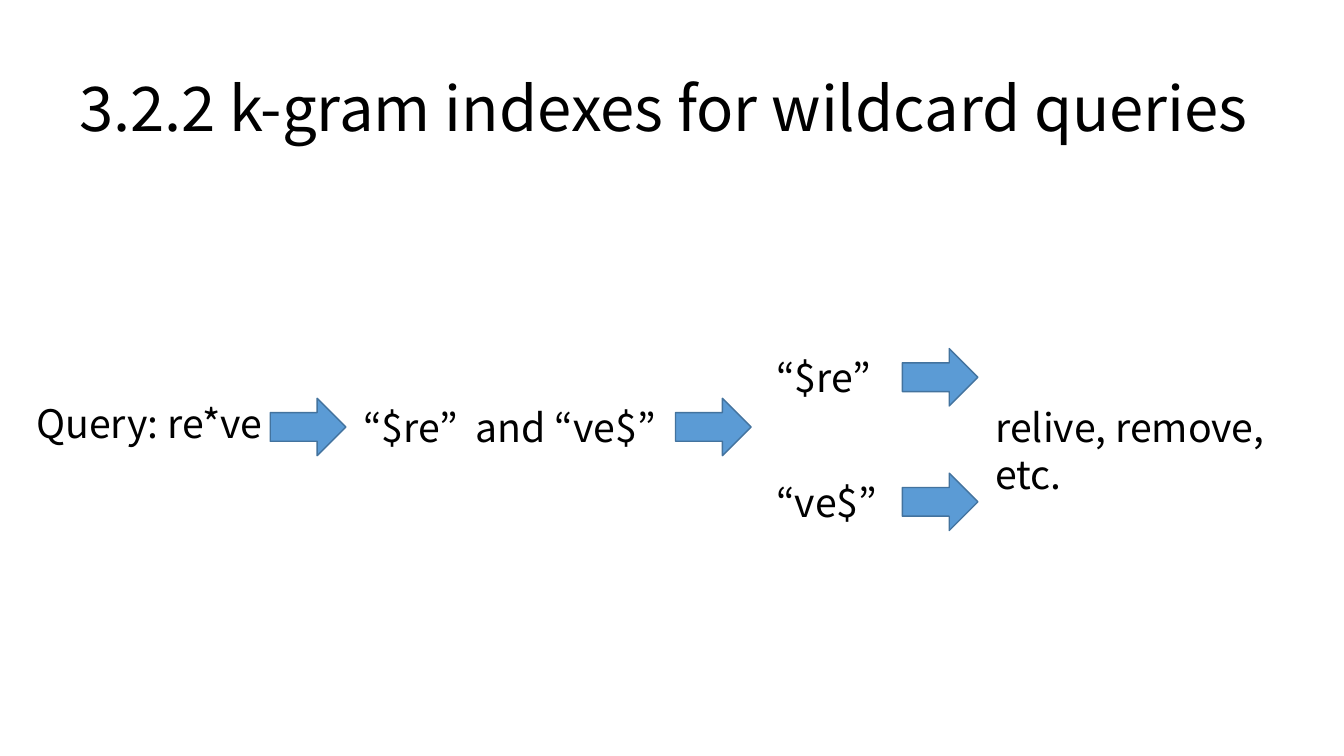
from dataclasses import dataclass

from pptx import Presentation
from pptx.dml.color import RGBColor
from pptx.enum.shapes import MSO_SHAPE
from pptx.enum.text import MSO_ANCHOR
from pptx.slide import Slide
from pptx.util import Pt

FONT = "Noto Sans CJK KR"
ROW_HEIGHT = 41
UPPER_TOP, MIDDLE_TOP, LOWER_TOP = 249, 284.5, 338


@dataclass
class Label:
    text: str
    left: float
    top: float
    width: float
    height: float = ROW_HEIGHT
    size: float = 28
    line_spacing: float = 1.0
    anchor: MSO_ANCHOR = MSO_ANCHOR.TOP


@dataclass
class Arrow:
    left: float
    top: float


LABELS = [
    Label("3.2.2 k-gram indexes for wildcard queries", 49.5, 39, 861, 81.5,
          size=44, line_spacing=0.9, anchor=MSO_ANCHOR.MIDDLE),
    Label("Query: re*ve", 19, 281.5, 201.5),
    Label("“$re”  and “ve$”", 252.5, MIDDLE_TOP, 224),
    Label("“$re”", 547.5, UPPER_TOP, 86.5),
    Label("“ve$”", 547.5, LOWER_TOP, 90),
    Label("relive, remove, etc.", 704, MIDDLE_TOP, 253.5),
]

ARROWS = [
    Arrow(193, MIDDLE_TOP),
    Arrow(482.5, MIDDLE_TOP),
    Arrow(644.5, UPPER_TOP),
    Arrow(644.5, LOWER_TOP),
]


def color(value: str) -> RGBColor:
    return RGBColor.from_string(value)


def add_label(slide: Slide, label: Label) -> None:
    box = slide.shapes.add_textbox(
        Pt(label.left), Pt(label.top), Pt(label.width), Pt(label.height))
    frame = box.text_frame
    frame.word_wrap = True
    frame.vertical_anchor = label.anchor
    paragraph = frame.paragraphs[0]
    paragraph.text = label.text
    paragraph.line_spacing = label.line_spacing
    paragraph.font.name = FONT
    paragraph.font.size = Pt(label.size)
    paragraph.font.color.rgb = color("000000")


def add_arrow(slide: Slide, arrow: Arrow) -> None:
    shape = slide.shapes.add_shape(
        MSO_SHAPE.RIGHT_ARROW, Pt(arrow.left), Pt(arrow.top), Pt(54), Pt(ROW_HEIGHT))
    shape.shadow.inherit = False
    shape.fill.solid()
    shape.fill.fore_color.rgb = color("5B9BD5")
    shape.line.color.rgb = color("43739E")
    shape.line.width = Pt(1)


def main() -> None:
    presentation = Presentation()
    presentation.slide_width = Pt(960)
    presentation.slide_height = Pt(540)
    slide = presentation.slides.add_slide(presentation.slide_layouts[6])
    for label in LABELS:
        add_label(slide, label)
    for arrow in ARROWS:
        add_arrow(slide, arrow)
    presentation.save("out.pptx")


if __name__ == "__main__":
    main()
